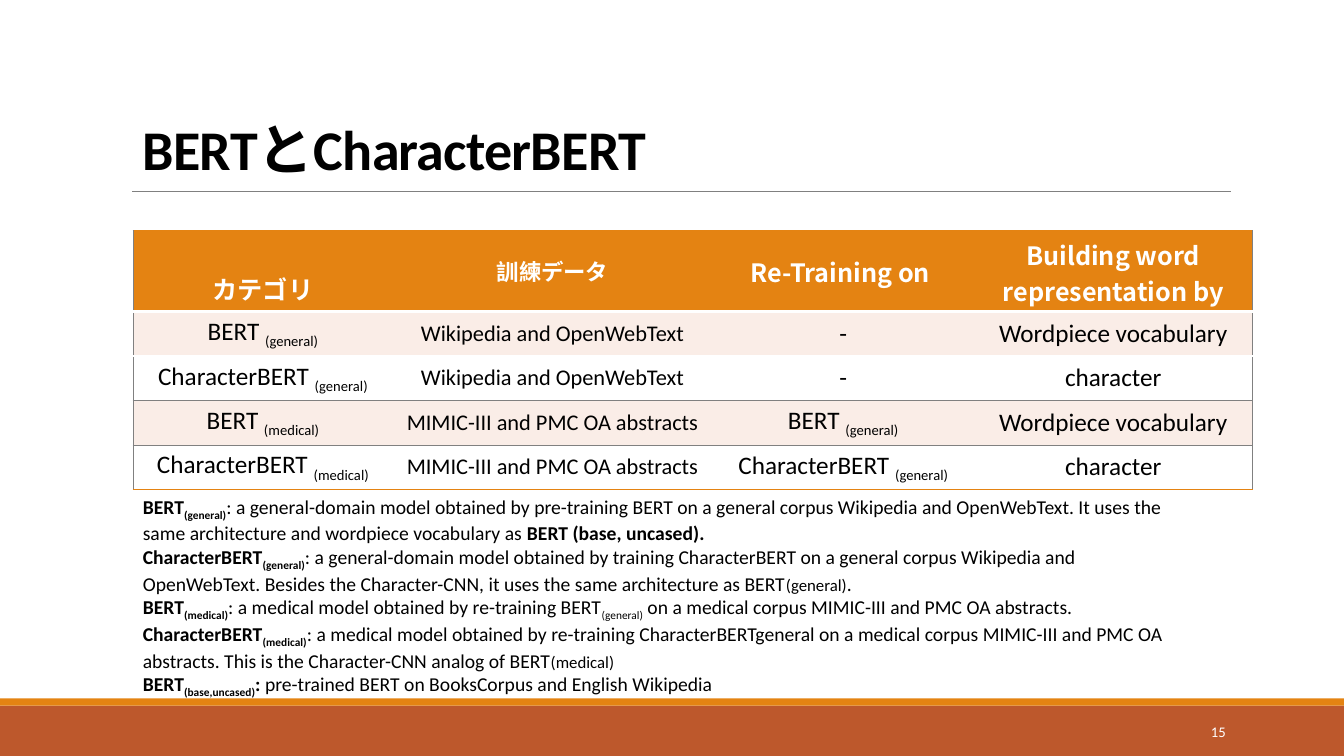
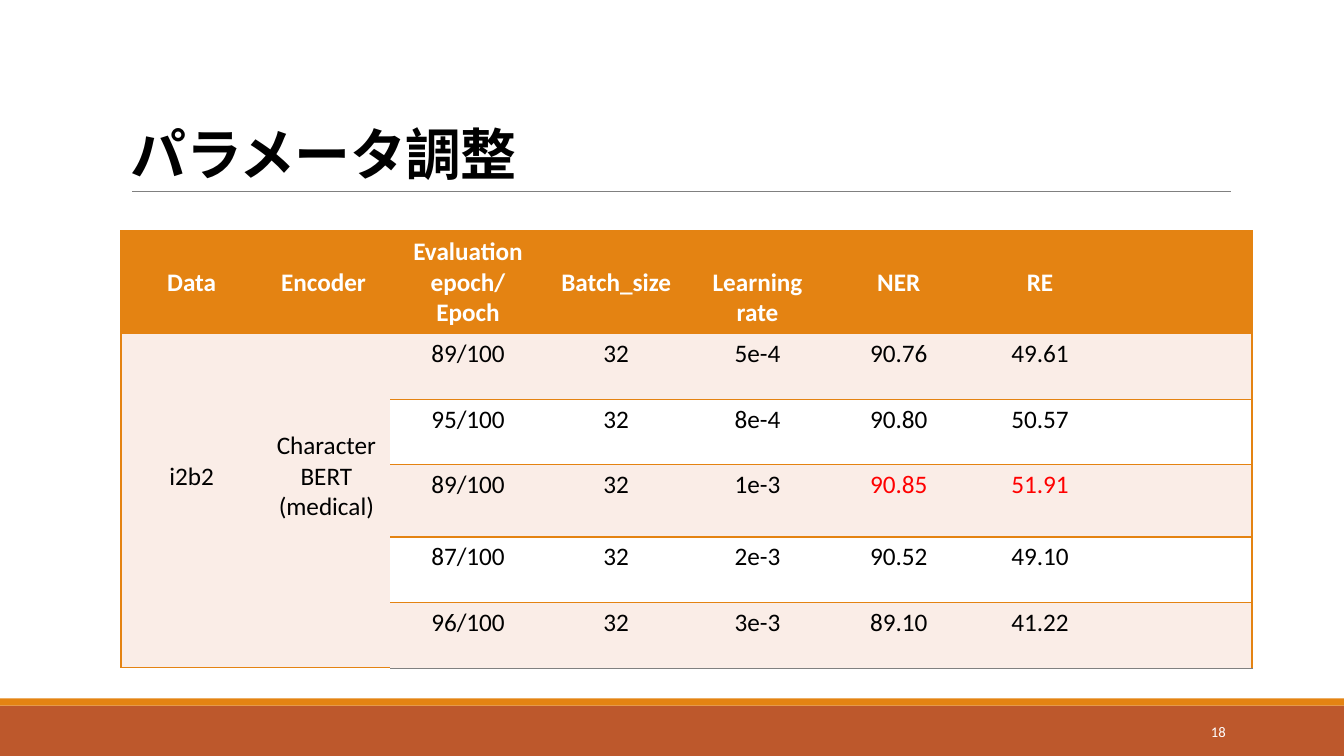
from dataclasses import dataclass

from lxml.etree import SubElement
from pptx import Presentation
from pptx.dml.color import RGBColor
from pptx.enum.shapes import MSO_CONNECTOR as Connector, MSO_SHAPE as Preset
from pptx.enum.text import MSO_ANCHOR as Anchor, PP_ALIGN as Align
from pptx.oxml.ns import qn
from pptx.util import Cm, Pt


@dataclass(frozen=True)
class Theme:
    orange: str = "E48312"
    rust: str = "BD582C"
    tint: str = "FAEDE7"
    white: str = "FFFFFF"
    black: str = "000000"
    grey: str = "808080"
    red: str = "FF0000"
    latin: str = "Calibri"
    japanese: str = "Noto Sans CJK JP"
    title: float = 40
    table: float = 18
    table_small: float = 16
    body: float = 14
    body_small: float = 12
    number: float = 10.5


THEME = Theme()
SUBSCRIPT = {"baseline": -25}
BOLD = {"bold": True}
BOLD_SUBSCRIPT = {**BOLD, **SUBSCRIPT}
SMALL = {"size": THEME.body_small}
ORANGE_RULE = (THEME.orange, 1)
GREY_RULE = (THEME.grey, 0.5)
WHITE_RULE = (THEME.white, 2.25)


def add_run(paragraph, text, size, color=THEME.black, bold=False,
            font=THEME.latin, baseline=0, tracking=0):
    run = paragraph.add_run()
    run.text = text
    run.font.size = Pt(size)
    run.font.bold = bold
    run.font.name = font
    run.font.color.rgb = RGBColor.from_string(color)
    properties = run._r.get_or_add_rPr()
    SubElement(properties, qn("a:ea"), typeface=THEME.japanese)
    if baseline:
        properties.set("baseline", str(baseline * 1000))
    if tracking:
        properties.set("spc", str(round(tracking * 100)))


def write_text(frame, text, align=Align.LEFT, anchor=Anchor.TOP,
               line_spacing=None, **run_format):
    frame.word_wrap = True
    frame.vertical_anchor = anchor
    paragraphs = text.split("\n") if isinstance(text, str) else text
    for index, pieces in enumerate(paragraphs):
        paragraph = frame.add_paragraph() if index else frame.paragraphs[0]
        paragraph.alignment = align
        if line_spacing:
            paragraph.line_spacing = line_spacing
        for piece in [pieces] if isinstance(pieces, str) else pieces:
            words, changes = (piece, {}) if isinstance(piece, str) else piece
            add_run(paragraph, words, **{**run_format, **changes})


def add_text(slide, left, top, width, height, text, **text_format):
    box = slide.shapes.add_textbox(Cm(left), Cm(top), Cm(width), Cm(height))
    write_text(box.text_frame, text, **text_format)


def add_band(slide, top, height, color):
    band = slide.shapes.add_shape(
        Preset.RECTANGLE, 0, Cm(top), Cm(33.87), Cm(height))
    band.shadow.inherit = False
    band.fill.solid()
    band.fill.fore_color.rgb = RGBColor.from_string(color)
    band.line.fill.background()


def add_title_rule(slide):
    y = Cm(4.83)
    rule = slide.shapes.add_connector(
        Connector.STRAIGHT, Cm(3.33), y, Cm(31.01), y)
    rule.line.color.rgb = RGBColor.from_string(THEME.grey)
    rule.line.width = Pt(0.5)
    SubElement(rule._element.spPr, qn("a:effectLst"))


def add_slide(presentation, number, title, left, top, width, height,
              font=THEME.latin):
    slide = presentation.slides.add_slide(presentation.slide_layouts[6])
    add_band(slide, 17.78, 1.27, THEME.rust)
    add_band(slide, 17.6, 0.18, THEME.orange)
    add_title_rule(slide)
    add_text(slide, left, top, width, height, title, anchor=Anchor.BOTTOM,
             line_spacing=0.85, size=THEME.title, bold=True, font=font,
             tracking=-0.5)
    add_text(slide, 27.51, 17.93, 3.63, 1.02, str(number), align=Align.RIGHT,
             anchor=Anchor.MIDDLE, size=THEME.number, color=THEME.white)
    return slide


def set_borders(cell, **rules):
    properties = cell._tc.get_or_add_tcPr()
    for side in ("lnL", "lnR", "lnT", "lnB"):
        rule = rules.get(side)
        if rule is None:
            line = SubElement(properties, qn(f"a:{side}"), w="0")
            SubElement(line, qn("a:noFill"))
            continue
        color, width = rule
        line = SubElement(properties, qn(f"a:{side}"), w=str(Pt(width)))
        fill = SubElement(line, qn("a:solidFill"))
        SubElement(fill, qn("a:srgbClr"), val=color)


def add_grid(slide, left, top, widths, heights, rows, rules, side_rule,
             cell_format):
    frame = slide.shapes.add_table(
        len(rows), len(widths), Cm(left), Cm(top),
        Cm(sum(widths)), Cm(sum(heights)))
    table = frame.table
    for column, width in zip(table.columns, widths):
        column.width = Cm(width)
    for row, height in zip(table.rows, heights):
        row.height = Cm(height)
    last = len(widths) - 1
    for r, texts in enumerate(rows):
        for c, text in enumerate(texts):
            cell = table.cell(r, c)
            set_borders(cell, lnT=rules[r], lnB=rules[r + 1],
                        lnL=side_rule if c == 0 else None,
                        lnR=side_rule if c == last else None)
            band = THEME.tint if r % 2 else THEME.white
            cell.fill.solid()
            cell.fill.fore_color.rgb = RGBColor.from_string(
                band if r else THEME.orange)
            if text:
                base = {"align": Align.CENTER, "size": THEME.table,
                        "bold": r == 0,
                        "color": THEME.black if r else THEME.white}
                text_format = {**base, **cell_format(r, c)}
                cell.vertical_anchor = text_format.pop("anchor", Anchor.TOP)
                write_text(cell.text_frame, text,
                           anchor=cell.vertical_anchor, **text_format)
    return table


def model(name, domain):
    return [[f"{name} ", (f"({domain})", SUBSCRIPT)]]


def comparison_format(row, column):
    if column == 0:
        return {} if row else {"anchor": Anchor.BOTTOM}
    return {
        "anchor": Anchor.MIDDLE,
        "size": THEME.table_small if column == 1 else THEME.table,
        "font": THEME.latin if row else THEME.japanese,
    }


def tuning_format(row, column):
    if row == 0:
        return {"anchor": Anchor.BOTTOM if column == 4 else Anchor.MIDDLE}
    if column < 2:
        return {"anchor": Anchor.MIDDLE}
    return {"color": THEME.red} if row == 3 and column > 4 else {}


def definition(name, domain, *rest):
    return [(name, BOLD), (f"({domain})", BOLD_SUBSCRIPT), *rest]


def add_comparison(presentation):
    slide = add_slide(presentation, 15, "BERTとCharacterBERT",
                      3.35, 2.08, 26.29, 2.64)
    general = "Wikipedia and OpenWebText"
    medical = "MIMIC-III and PMC OA abstracts"
    wordpiece = "Wordpiece vocabulary"
    rows = [
        ["カテゴリ", "訓練データ", "Re-Training on ",
         "Building word representation by"],
        [model("BERT", "general"), general, "-", wordpiece],
        [model("CharacterBERT", "general"), general, "-", "character"],
        [model("BERT", "medical"), medical,
         model("BERT", "general"), wordpiece],
        [model("CharacterBERT", "medical"), medical,
         model("CharacterBERT", "general"), "character"],
    ]
    rules = [ORANGE_RULE, WHITE_RULE, WHITE_RULE, GREY_RULE, GREY_RULE,
             ORANGE_RULE]
    add_grid(slide, 3.35, 5.82, [6.55, 8.05, 6.6, 7.01],
             [2.03] + [1.12] * 4, rows, rules, GREY_RULE, comparison_format)
    definitions = [
        definition(
            "BERT", "general",
            ": a general-domain model obtained by pre-training BERT on a "
            "general corpus Wikipedia and OpenWebText. It uses the same "
            "architecture and wordpiece vocabulary as ",
            ("BERT (base, uncased).", BOLD)),
        definition(
            "CharacterBERT", "general",
            ": a general-domain model obtained by training CharacterBERT on "
            "a general corpus Wikipedia and OpenWebText. Besides the "
            "Character-CNN, it uses the same architecture as BERT",
            ("(general)", SMALL), "."),
        definition(
            "BERT", "medical",
            ": a medical model obtained by re-training BERT",
            ("(general)", SUBSCRIPT),
            " on a medical corpus MIMIC-III and PMC OA abstracts."),
        definition(
            "CharacterBERT", "medical",
            ": a medical model obtained by re-training CharacterBERTgeneral "
            "on a medical corpus MIMIC-III and PMC OA abstracts. This is the "
            "Character-CNN analog of BERT",
            ("(medical)", SMALL)),
        definition(
            "BERT", "base,uncased", (": ", BOLD),
            "pre-trained BERT on BooksCorpus and English Wikipedia"),
    ]
    add_text(slide, 3.35, 12.34, 26.29, 5.25, definitions, size=THEME.body)


def add_tuning(presentation):
    slide = add_slide(presentation, 18, "パラメータ調整",
                      3.05, 0.79, 27.94, 4.04, font=THEME.japanese)
    results = [
        ("89/100", "5e-4", "90.76", "49.61"),
        ("95/100", "8e-4", "90.80", "50.57"),
        ("89/100", "1e-3", "90.85", "51.91"),
        ("87/100", "2e-3", "90.52", "49.10"),
        ("96/100", "3e-3", "89.10", "41.22"),
    ]
    rows = [["Data", "Encoder ", "Evaluation epoch/\nEpoch", "Batch_size",
             "Learning rate", "NER", "RE", ""]]
    rows += [["", "", epoch, "32", rate, entity, relation, ""]
             for epoch, rate, entity, relation in results]
    rows[1][:2] = ["i2b2", "Character\nBERT\n(medical)"]
    table = add_grid(slide, 3.05, 5.82, [3.56, 3.23, 3.91] + [3.56] * 5,
                     [2.59, 1.65, 1.65, 1.82, 1.65, 1.65], rows,
                     [ORANGE_RULE] * 6 + [GREY_RULE], ORANGE_RULE,
                     tuning_format)
    for column in range(2):
        shared_cell = table.cell(1, column)
        shared_cell.merge(table.cell(len(results), column))
        shared_cell.margin_bottom = Cm(1.35)


def main():
    presentation = Presentation()
    presentation.slide_width = Cm(33.87)
    presentation.slide_height = Cm(19.05)
    add_comparison(presentation)
    add_tuning(presentation)
    presentation.save("out.pptx")


if __name__ == "__main__":
    main()
